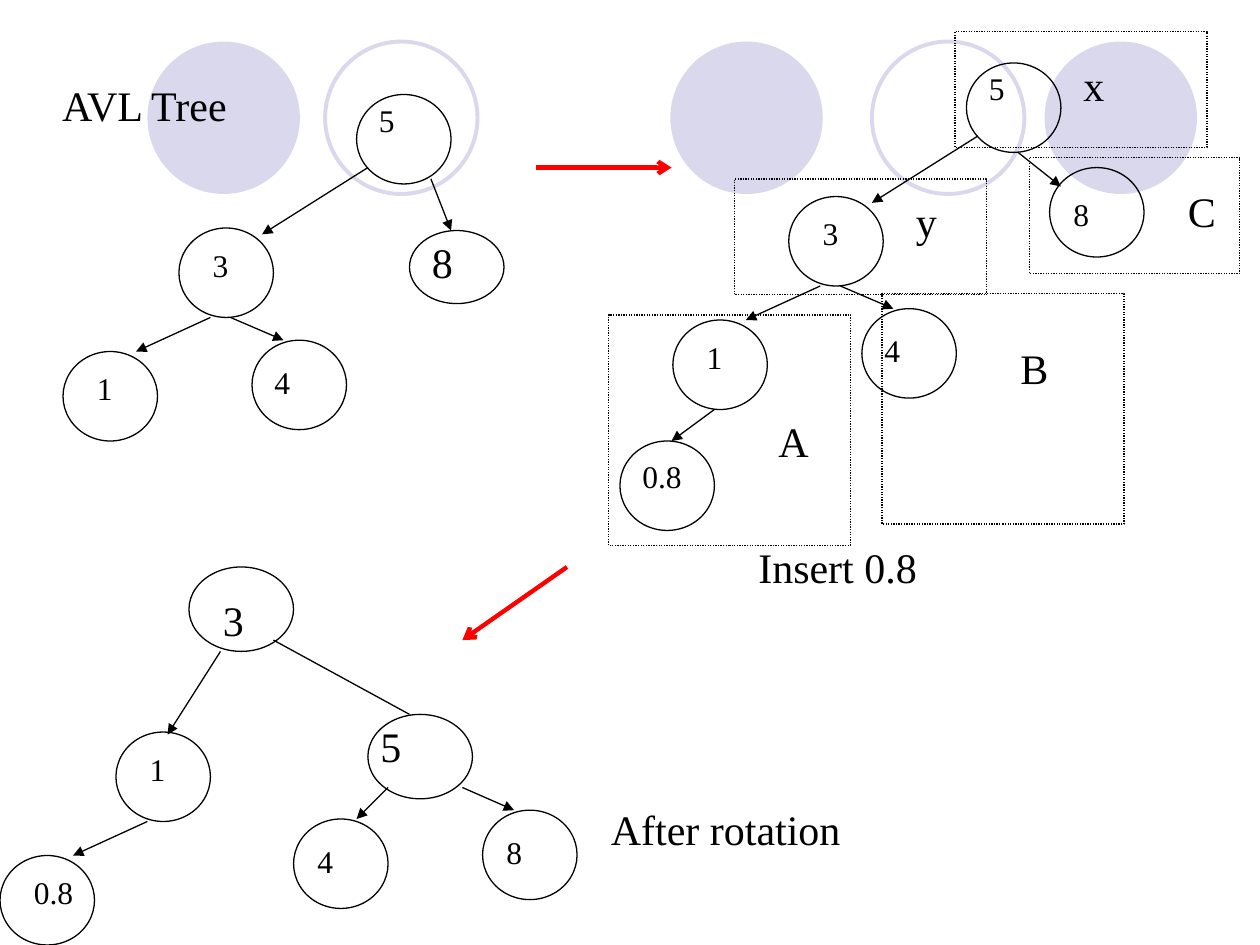
from pptx import Presentation
from pptx.util import Inches, Pt
from pptx.dml.color import RGBColor as Rgb
from pptx.enum.dml import MSO_LINE as Dash
from pptx.enum.shapes import MSO_SHAPE as Kind, MSO_CONNECTOR as Conn
from pptx.enum.text import MSO_AUTO_SIZE as Fit
from pptx.oxml.ns import qn
from lxml.etree import SubElement as sub

FONT = "Times New Roman"
BLACK, RED, LILAC = "000000", "FF0000", "D9D8EC"


def color(code):
    return Rgb.from_string(code)


def shape(page, kind, x, y, w, h, fill=None, line=None, width=0.75, dash=None):
    item = page.shapes.add_shape(kind, Inches(x), Inches(y), Inches(w), Inches(h))
    item.shadow.inherit = False
    if fill:
        item.fill.solid()
        item.fill.fore_color.rgb = color(fill)
    else:
        item.fill.background()
    if line:
        item.line.color.rgb = color(line)
        item.line.width = Pt(width)
    else:
        item.line.fill.background()
    if dash:
        item.line.dash_style = dash


def text(page, words, x, y, w, size=24, ink=BLACK):
    height = 0.5 if size == 24 else 0.4
    box = page.shapes.add_textbox(Inches(x), Inches(y), Inches(w), Inches(height))
    frame = box.text_frame
    frame.word_wrap = True
    frame.auto_size = Fit.SHAPE_TO_FIT_TEXT
    run = frame.paragraphs[0].add_run()
    run.text = words
    run.font.name = FONT
    run.font.size = Pt(size)
    run.font.color.rgb = color(ink)


def arrow(page, x1, y1, x2, y2, ink=BLACK, width=0.75, head="triangle"):
    item = page.shapes.add_connector(
        Conn.STRAIGHT, Inches(x1), Inches(y1), Inches(x2), Inches(y2))
    item.line.color.rgb = color(ink)
    item.line.width = Pt(width)
    if head:
        sub(item.line._get_or_add_ln(), qn("a:tailEnd"), type=head)
    sub(item._element.spPr, qn("a:effectLst"))


def node(page, key, x, y, dx, dy, span=1, w=0.75, h=0.71, size=18):
    """A circle with its key, set off by dx and dy."""
    shape(page, Kind.OVAL, x, y, w, h, line=BLACK)
    text(page, key, x + dx, y + dy, span, size=size)


def branch(page, x, y, top, low, span=0.83):
    """A node and its lower left child, joined by an arrow."""
    node(page, top, x, y, 0.17, 0.09, 1.33)
    node(page, low, x - 0.92, y + 0.98, 0.17, 0.09, span)
    arrow(page, x + 0.25, y + 0.71, x - 0.34, y + 0.98)


def tree(page, x, y):
    """Root 5 with its left subtree 3, 1, 4."""
    node(page, "5", x, y, 0.08, 0, 1.33)
    arrow(page, x + 0.09, y + 0.58, x - 0.75, y + 1.11)
    branch(page, x - 1.41, y + 1.06, "3", "1")
    arrow(page, x - 1, y + 1.77, x - 0.58, y + 1.95)
    node(page, "4", x - 0.83, y + 1.95, 0.08, 0.13)


def main():
    deck = Presentation()
    deck.slide_width, deck.slide_height = Inches(10), Inches(7.5)
    page = deck.slides.add_slide(deck.slide_layouts[6])

    # Background circles
    for x in (5.32, 8.29, 1.17):
        shape(page, Kind.OVAL, x, 0.33, 1.21, 1.21, fill=LILAC)
    for x in (6.92, 2.58):
        shape(page, Kind.OVAL, x, 0.33, 1.21, 1.21, line=LILAC, width=2.25)

    # First tree
    text(page, " AVL Tree", 0.33, 0.58, 4.08)
    tree(page, 2.83, 0.75)
    node(page, "8", 3.25, 1.83, 0.08, 0, h=0.58, size=24)
    arrow(page, 3.42, 1.42, 3.58, 1.83)

    # Tree after the insert
    text(page, "Insert 0.8", 5.92, 4.25, 4.08)
    tree(page, 7.67, 0.5)
    node(page, "8", 8.33, 1.33, 0.09, 0.17, 0.92)
    arrow(page, 8.08, 1.21, 8.42, 1.48)
    node(page, "0.8", 4.92, 3.5, 0.08, 0.08, 1.33)
    arrow(page, 5.67, 3.25, 5.33, 3.5)

    # Dotted frames: name, place and size, then place of the name
    frames = [
        ("x", 7.58, 0.25, 2, 0.92, 8.5, 0.42),
        ("y", 5.83, 1.42, 2, 0.92, 7.17, 1.5),
        ("A", 4.83, 2.5, 1.92, 1.83, 6.08, 3.25),
        ("B", 7, 2.33, 1.92, 1.83, 8, 2.67),
        ("C", 8.17, 1.25, 1.67, 0.92, 9.33, 1.42),
    ]
    for name, x, y, w, h, tx, ty in frames:
        shape(page, Kind.RECTANGLE, x, y, w, h, line=BLACK, dash=Dash.ROUND_DOT)
        text(page, name, tx, ty, 0.67)

    # Tree after the rotation
    text(page, "After rotation", 4.75, 6.33, 2.5)
    node(page, "3", 1.5, 4.5, 0.17, 0.17, 2.08, w=0.83, h=0.67, size=24)
    node(page, "5", 2.92, 5.67, 0, 0, 0.83, w=0.83, h=0.67, size=24)
    arrow(page, 2.17, 5.08, 3.25, 5.67, head=None)
    branch(page, 0.92, 5.81, "1", "0.8")
    arrow(page, 1.75, 5.17, 1.33, 5.83)
    node(page, "4", 2.33, 6.5, 0.09, 0.13)
    arrow(page, 3.08, 6.25, 2.83, 6.5)
    node(page, "8", 3.83, 6.43, 0.09, 0.13)
    arrow(page, 3.67, 6.25, 4.08, 6.43)

    # Steps between the trees
    for ends in ((4.25, 1.33, 5.33, 1.33), (4.5, 4.5, 3.67, 5.08)):
        arrow(page, *ends, ink=RED, width=2.5, head="arrow")

    deck.save("out.pptx")


if __name__ == "__main__":
    main()
